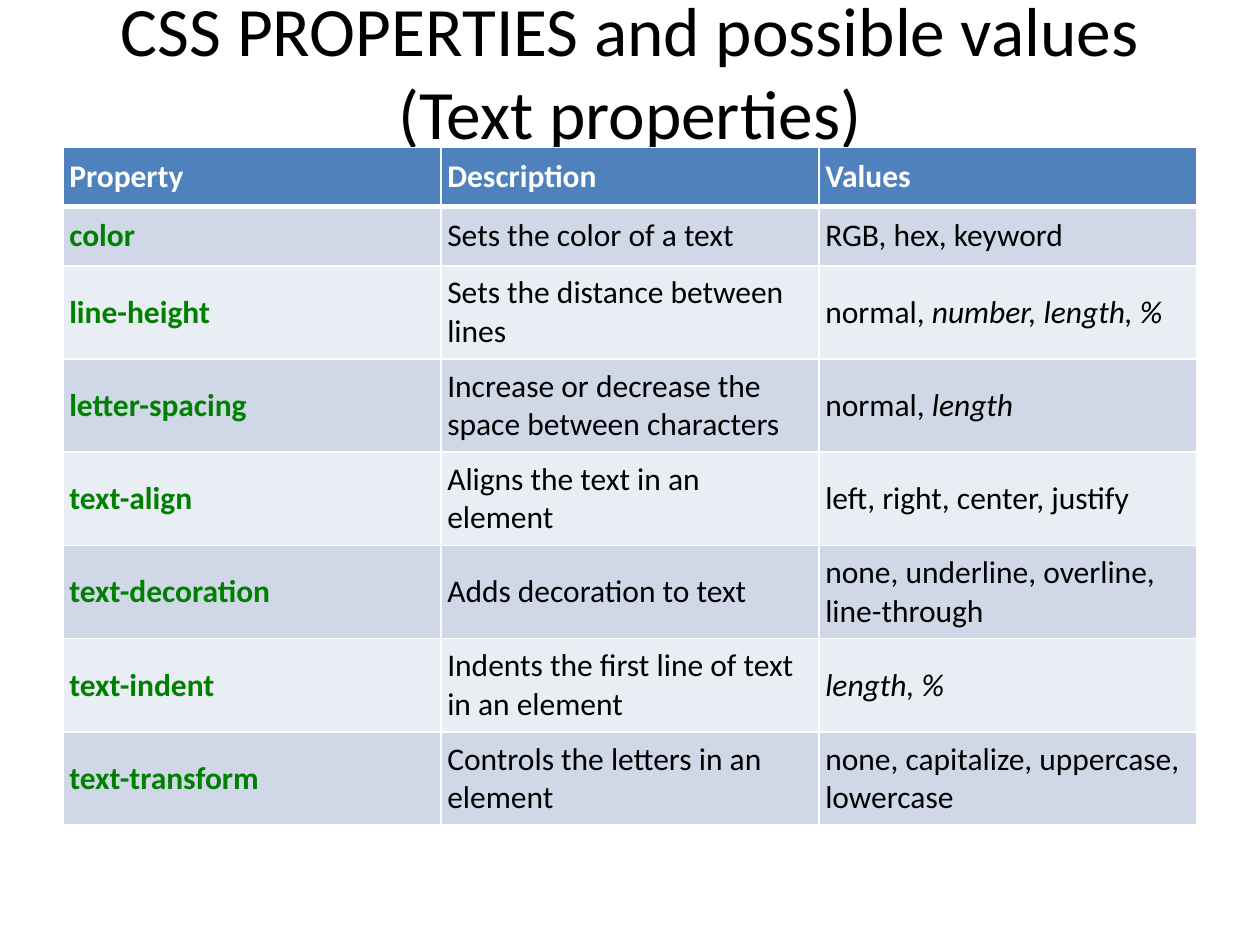
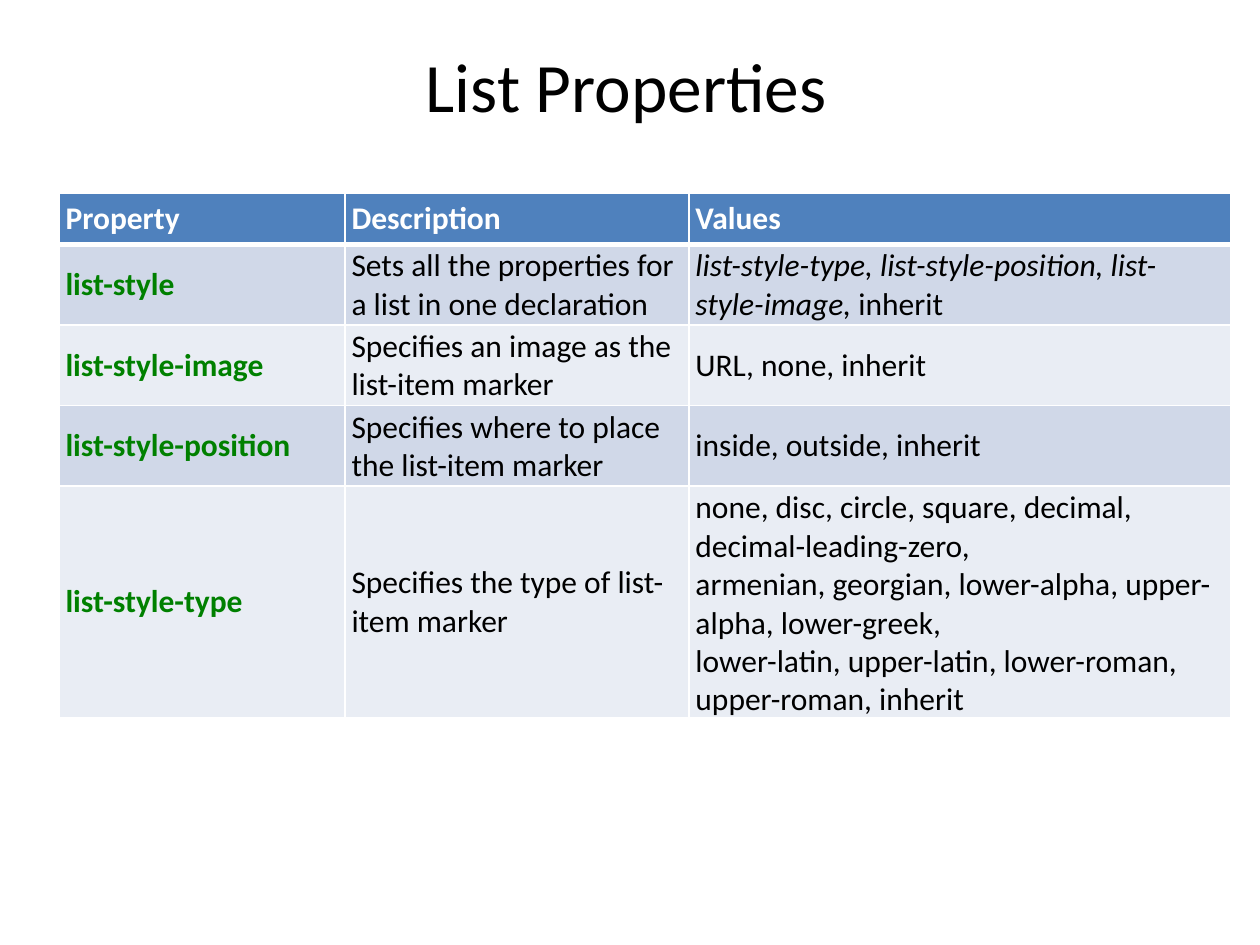
from lxml.etree import SubElement
from pptx import Presentation
from pptx.dml.color import RGBColor
from pptx.enum.text import MSO_ANCHOR, PP_ALIGN
from pptx.oxml.ns import qn
from pptx.util import Emu, Pt

EMU_PER_PX = 9144  # 100 px to the inch


def px(length):
    return Emu(length * EMU_PER_PX)


def color(hex_string):
    return RGBColor.from_string(hex_string)


class Deck:
    """Holds the shared style and the slide being built."""

    FONT = "Calibri"
    TITLE_SIZE = 39.6
    TABLE_SIZE = 18
    TEXT = "000000"
    WHITE = "FFFFFF"
    HEADER_FILL = "4F81BD"
    BAND_FILLS = ("D0D8E8", "E9EDF4")
    PROPERTY = "008000"
    HEADINGS = ("Property", "Description", "Values")

    def __init__(self):
        self.presentation = Presentation()
        self.presentation.slide_width = px(1000)
        self.presentation.slide_height = px(750)
        self.slide = None

    def new_slide(self):
        self.slide = self.presentation.slides.add_slide(self.presentation.slide_layouts[6])
        background = self.slide.background.fill
        background.solid()
        background.fore_color.rgb = color(self.WHITE)

    def run(self, paragraph, text, size, text_color, bold=False, italic=False):
        for index, line in enumerate(text.split("\n")):
            if index:
                paragraph.add_line_break()
            run = paragraph.add_run()
            run.text = line
            font = run.font
            font.name, font.size = self.FONT, Pt(size)
            font.bold, font.italic = bold, italic
            font.color.rgb = color(text_color)

    def title(self, text, left, top, width, height):
        shape = self.slide.shapes.add_textbox(px(left), px(top), px(width), px(height))
        frame = shape.text_frame
        frame.word_wrap = True
        frame.vertical_anchor = MSO_ANCHOR.MIDDLE
        paragraph = frame.paragraphs[0]
        paragraph.alignment = PP_ALIGN.CENTER
        self.run(paragraph, text, self.TITLE_SIZE, self.TEXT)

    def borders(self, cell, top, bottom):
        properties = cell._tc.get_or_add_tcPr()
        sides = (("a:lnL", 1), ("a:lnR", 1), ("a:lnT", top), ("a:lnB", bottom))
        for index, (tag, width) in enumerate(sides):
            line = SubElement(properties, qn(tag), w=str(Pt(width)))
            fill = SubElement(line, qn("a:solidFill"))
            SubElement(fill, qn("a:srgbClr"), val=self.WHITE)
            properties.insert(index, line)  # borders come before the cell fill

    def cell(self, cell, runs, fill, text_color, bold, top=1, bottom=1):
        cell.vertical_anchor = MSO_ANCHOR.MIDDLE
        cell.margin_left = cell.margin_right = px(5)
        cell.margin_top = cell.margin_bottom = px(2)
        cell.fill.solid()
        cell.fill.fore_color.rgb = color(fill)
        self.borders(cell, top, bottom)
        paragraph = cell.text_frame.paragraphs[0]
        for text, italic in runs:
            self.run(paragraph, text, self.TABLE_SIZE, text_color, bold, italic)

    def property_table(self, left, top, height, column_widths, row_heights, rows):
        """Each row is a property name, its description and its value runs."""
        table = self.slide.shapes.add_table(
            len(rows) + 1, len(column_widths),
            px(left), px(top), px(sum(column_widths)), px(height)).table
        table.horz_banding = False
        for column, width in zip(table.columns, column_widths):
            column.width = px(width)
        for row, row_height in zip(table.rows, row_heights):
            row.height = px(row_height)

        # Header row
        for column, heading in enumerate(self.HEADINGS):
            self.cell(table.cell(0, column), [(heading, False)],
                      self.HEADER_FILL, self.WHITE, True, bottom=3)

        # Banded rows
        for number, (name, description, values) in enumerate(rows, start=1):
            fill = self.BAND_FILLS[(number - 1) % 2]
            contents = ([(name, False)], [(description, False)], values)
            for column, runs in enumerate(contents):
                is_name = column == 0
                self.cell(table.cell(number, column), runs, fill,
                          self.PROPERTY if is_name else self.TEXT, is_name,
                          top=3 if number == 1 else 1)


def plain(text):
    return [(text, False)]


TEXT_PROPERTIES = [
    ("color", "Sets the color of a text", plain("RGB, hex, keyword")),
    ("line-height", "Sets the distance between lines",
     [("normal, ", False), ("number, length, %", True)]),
    ("letter-spacing", "Increase or decrease the space between characters",
     [("normal, ", False), ("length", True)]),
    ("text-align", "Aligns the text in an element", plain("left, right, center, justify")),
    ("text-decoration", "Adds decoration to text",
     plain("none, underline, overline, line-through")),
    ("text-indent", "Indents the first line of text in an element", [("length, %", True)]),
    ("text-transform", "Controls the letters in an element",
     plain("none, capitalize, uppercase, lowercase")),
]

LIST_PROPERTIES = [
    ("list-style", "Sets all the properties for a list in one declaration",
     [("list-style-type, list-style-position, list-style-image, ", True), ("inherit", False)]),
    ("list-style-image", "Specifies an image as the list-item marker",
     plain("URL, none, inherit")),
    ("list-style-position", "Specifies where to place the list-item marker",
     plain("inside, outside, inherit")),
    ("list-style-type", "Specifies the type of list-item marker",
     plain("none, disc, circle, square, decimal, decimal-leading-zero,\n"
           "armenian, georgian, lower-alpha, upper-alpha, lower-greek,\n"
           "lower-latin, upper-latin, lower-roman, upper-roman, inherit")),
]


def main():
    deck = Deck()

    # Text properties
    deck.new_slide()
    deck.title("CSS PROPERTIES and possible values (Text properties)", 50, 16, 900, 79)
    deck.property_table(50, 117, 539, [300] * 3, [47] * 2 + [74] * 6, TEXT_PROPERTIES)

    # List properties
    deck.new_slide()
    deck.title("List Properties", 47, 47, 900, 40)
    deck.property_table(47, 153, 417, [227, 273, 430], [41] * 5, LIST_PROPERTIES)

    deck.presentation.save("out.pptx")


if __name__ == "__main__":
    main()
